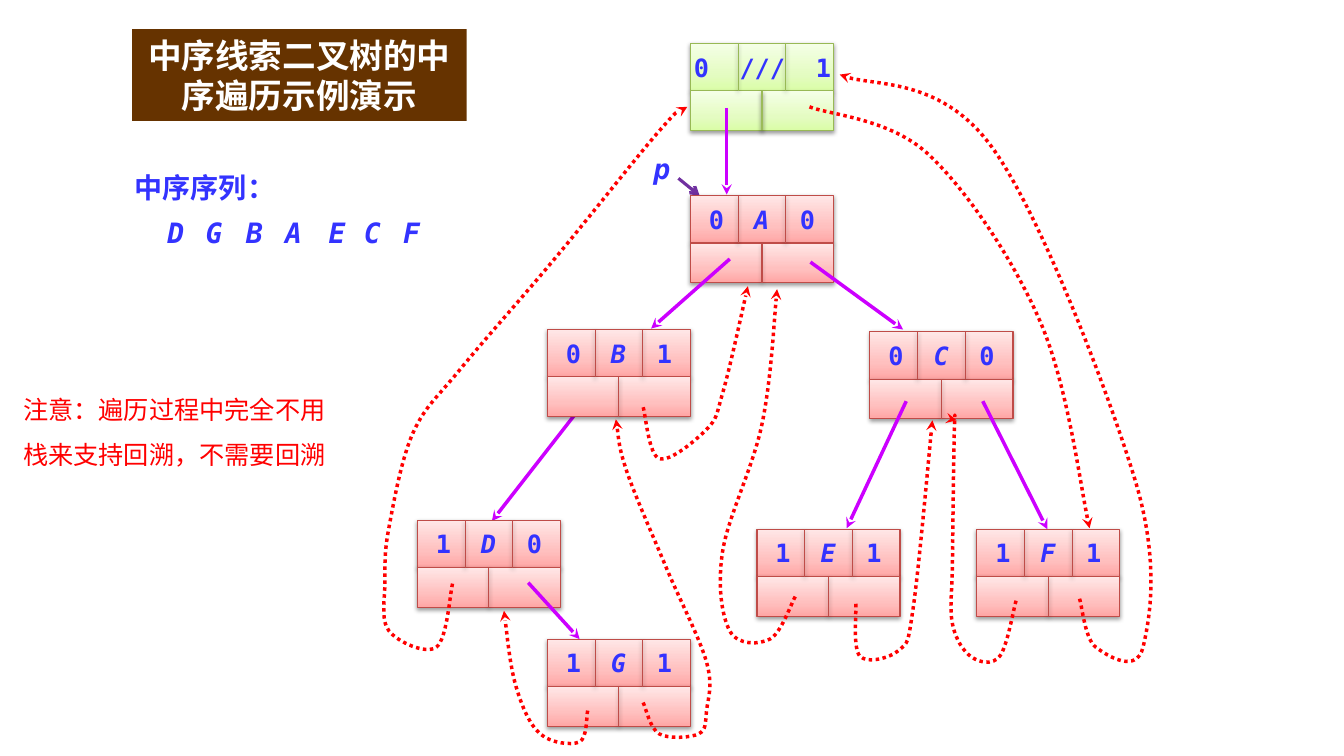
import copy

import pptx
import pptx.dml.color
import pptx.enum.dml
import pptx.enum.shapes
import pptx.enum.text
import pptx.oxml.ns
import pptx.util
from lxml import etree

Pt = pptx.util.Pt
qn = pptx.oxml.ns.qn
SHAPE = pptx.enum.shapes.MSO_SHAPE
ALIGN = pptx.enum.text.PP_ALIGN
ANCHOR = pptx.enum.text.MSO_ANCHOR

COLORS = {"ink": "3333FF", "link": "CC00FF", "thread": "FF0000", "pointer": "7030A0",
          "title": "663300", "white": "FFFFFF"}
PINK = {"stops": ("FFA6A5", "FFC0BF", "FFE7E7"), "line": "BF4C48", "lower": ("BF4C48", 0.75)}
GREEN = {"stops": ("DAFDA7", "E4FCC2", "F5FFE7"), "line": "98B955", "lower": ("9BBB59", 2)}
CJK = "Noto Sans CJK SC"
MONO = "DejaVu Sans Mono"
CODE = {"name": MONO, "size": Pt(18), "bold": True}
LETTER = {"name": MONO, "size": Pt(20), "bold": True, "italic": True}
HEADING = {"name": MONO, "size": Pt(20), "bold": True}
TITLE = {"name": CJK, "size": Pt(24), "bold": True}
NOTE = {"name": "Calibri", "size": Pt(18), "bold": False}

NODE_WIDTH, HEAD_HEIGHT, FOOT_HEIGHT = 102.2, 33.9, 28.3
# Left, top, fields
NODES = [(493.2, 139.7, "0A0"), (391, 235.4, "0B1"), (621.4, 236.9, "0C0"), (298.1, 371.5, "1D0"),
         (540.7, 378, "1E1"), (697.7, 378, "1F1"), (391, 456.5, "1G1")]
ROOT = (493.2, 31, ("0", "///", "1"))
LINK_UNDER_B = (419.8, 284.4, 351.4, 372.2)
LINKS = [(519.1, 77, 519.1, 139), (521.3, 185, 465.1, 234.7), (578.9, 187.2, 645.1, 235.4),
         (647.3, 286.6, 604.8, 377.3), (702, 286.6, 748.1, 378), (377.3, 416.2, 414, 456.5)]
# Points that each thread passes through
THREADS = [
    [(419.8, 507.6), (414, 529.9), (385.9, 524.2), (368.6, 490.3), (360, 436.3)],
    [(611.3, 431.3), (614.2, 468.7), (642.2, 464.4), (652.3, 434.2), (666, 300.2)],
    [(725.8, 429.1), (714.2, 468.7), (694.1, 469.4), (680.4, 445.7), (680.4, 400.3),
     (681.8, 305.3), (683.3, 300.2)],
    [(578.2, 76.3), (663.1, 110.2), (743, 229.7), (778.3, 377.3)],
    [(771.1, 427.7), (782.6, 462.2), (816.5, 462.2), (810.7, 342.7), (708.5, 105.1), (599.8, 53.3)],
    [(459.4, 290.9), (470.9, 327.6), (504.7, 306.7), (516.2, 280.8), (534.2, 204.5)],
    [(459.4, 501.8), (470.9, 524.2), (499, 524.2), (504.7, 507.6), (504.7, 473), (475.9, 405.4),
     (447.8, 337), (439.9, 299.5)],
    [(323.3, 416.9), (311.8, 462.2), (277.9, 450.7), (275, 415.4), (277.9, 376.6), (295.2, 308.9),
     (329, 263.5), (396.7, 184.3), (470.9, 93.6), (491, 76.3)],
    [(568.1, 426.2), (550.1, 456.5), (521.3, 450.7), (516.2, 393.8), (544.3, 303.1), (555.1, 206.6)],
]
SEQUENCE = zip("DGBAECF", (111.6, 139, 167.8, 195.8, 226.8, 252, 280))


def rgb(value):
    return pptx.dml.color.RGBColor.from_string(value)


def add_span(para, text, style, color, **extra):
    span = para.add_run()
    span.text = text
    for key, value in {**style, **extra}.items():
        setattr(span.font, key, value)
    span.font.color.rgb = rgb(color)
    etree.SubElement(span.font._element, qn("a:ea"), typeface=CJK)


def set_frame(frame, inset_x=0, inset_y=0, anchor=ANCHOR.TOP):
    values = {"margin_left": Pt(inset_x), "margin_right": Pt(inset_x), "margin_top": Pt(inset_y),
              "margin_bottom": Pt(inset_y), "vertical_anchor": anchor, "word_wrap": True}
    for key, value in values.items():
        setattr(frame, key, value)


def add_label(page, box, text, style, color, inset=(0, 0), align=ALIGN.CENTER, spacing=None):
    label = page.shapes.add_textbox(*map(Pt, box))
    set_frame(label.text_frame, *inset)
    para = label.text_frame.paragraphs[0]
    para.alignment = align
    if spacing:
        para.line_spacing = Pt(spacing)
    add_span(para, text, style, color)


def add_shadow(effects):
    shadow = etree.SubElement(effects, qn("a:outerShdw"), blurRad=str(Pt(3.1)), dist=str(Pt(1.6)),
                              dir="5400000", rotWithShape="0")
    color = etree.SubElement(shadow, qn("a:srgbClr"), val="000000")
    etree.SubElement(color, qn("a:alpha"), val="38000")


def add_line(shapes, ends, color, width, head=None):
    line = shapes.add_connector(pptx.enum.shapes.MSO_CONNECTOR.STRAIGHT, *map(Pt, ends))
    line.line.color.rgb = rgb(color)
    line.line.width = Pt(width)
    effects = etree.SubElement(line.element.spPr, qn("a:effectLst"))
    if head:
        add_head(line, head)
    return effects


def add_head(shape, kind):
    etree.SubElement(next(shape.element.iter(qn("a:ln"))), qn("a:tailEnd"), type=kind)


# Tree node: three fields above two pointer cells
def add_cell(shapes, box, look):
    cell = shapes.add_shape(SHAPE.RECTANGLE, *map(Pt, box))
    cell.fill.gradient()
    cell.fill.gradient_angle = 90
    first = next(cell.element.iter(qn("a:gs")))
    first.addnext(copy.deepcopy(first))
    for stop, position, color in zip(cell.fill.gradient_stops, (0, 0.35, 1), look["stops"]):
        stop.position = position
        stop.color.rgb = rgb(color)
    cell.line.color.rgb = rgb(look["line"])
    cell.line.width = Pt(0.75)
    cell.shadow.inherit = False
    add_shadow(next(cell.element.iter(qn("a:effectLst"))))
    return cell


def add_node(page, left, top, fields, look, inset, centres):
    shapes = page.shapes.add_group_shape().shapes
    middle = top + HEAD_HEIGHT
    head = add_cell(shapes, (left, top, NODE_WIDTH, HEAD_HEIGHT), look)
    add_cell(shapes, (left, middle, NODE_WIDTH, FOOT_HEIGHT), look)
    for part in (1 / 3, 2 / 3):
        x = left + NODE_WIDTH * part
        add_shadow(add_line(shapes, (x, top, x, middle), look["line"], 0.75))
    x = left + NODE_WIDTH / 2
    add_shadow(add_line(shapes, (x, middle, x, middle + FOOT_HEIGHT), *look["lower"]))

    set_frame(head.text_frame, anchor=ANCHOR.MIDDLE)
    head.text_frame.margin_left = Pt(inset)
    para = head.text_frame.paragraphs[0]
    para.alignment = ALIGN.LEFT
    tabs = etree.SubElement(para._p.get_or_add_pPr(), qn("a:tabLst"))
    for centre in centres:
        etree.SubElement(tabs, qn("a:tab"), pos=str(Pt(centre - inset)), algn="ctr")
    first, name, last = fields
    add_span(para, first + "\t", CODE, COLORS["ink"])
    add_span(para, name, CODE, COLORS["ink"], italic=name.isalpha())
    add_span(para, "\t" + last, CODE, COLORS["ink"])


# Dotted thread: a smooth curve through its points
def add_thread(page, points):
    padded = [points[0], *points, points[-1]]
    curve = []
    for before, start, end, after in zip(padded, padded[1:], padded[2:], padded[3:]):
        curve.append([s + (e - b) / 6 for b, s, e in zip(before, start, end)])
        curve.append([e - (a - s) / 6 for s, e, a in zip(start, end, after)])
        curve.append(end)
    builder = page.shapes.build_freeform(*map(Pt, points[0]), scale=1.0)
    builder.add_line_segments([(Pt(x), Pt(y)) for x, y in curve], close=False)
    thread = builder.convert_to_shape()
    steps = list(thread.element.iter(qn("a:lnTo")))
    for index in range(0, len(steps), 3):
        bend = etree.Element(qn("a:cubicBezTo"))
        steps[index].addprevious(bend)
        for step in steps[index:index + 3]:
            bend.append(step[0])
            step.getparent().remove(step)
    thread.fill.background()
    thread.line.color.rgb = rgb(COLORS["thread"])
    thread.line.width = Pt(2.5)
    thread.line.dash_style = pptx.enum.dml.MSO_LINE.ROUND_DOT
    thread.shadow.inherit = False
    add_head(thread, "stealth")


def add_tree(page, left, top):
    def add_link(ends):
        x1, y1, x2, y2 = ends
        add_line(page.shapes, (left + x1, top + y1, left + x2, top + y2), COLORS["link"], 2.5, "stealth")

    # The pointer p and one link lie behind the nodes
    add_line(page.shapes, (left + 484.6, top + 127.4, left + 499.7, top + 139.7),
             COLORS["pointer"], 2.25, "arrow")
    add_label(page, (left + 461.5, top + 108, 22.3, 24.5), "p", LETTER, COLORS["ink"])
    add_link(LINK_UNDER_B)
    for x, y, fields in NODES:
        add_node(page, left + x, top + y, fields, PINK, 13.2, (50.8, 83.6))
    x, y, fields = ROOT
    add_node(page, left + x, top + y, fields, GREEN, 2.5, (51.3, 95))
    for ends in LINKS:
        add_link(ends)
    for points in THREADS:
        add_thread(page, [(left + x, top + y) for x, y in points])


def add_title(page, left, top, width, height):
    title = page.shapes.title
    for key, value in zip(("left", "top", "width", "height"), (left, top, width, height)):
        setattr(title, key, Pt(value))
    title.fill.solid()
    title.fill.fore_color.rgb = rgb(COLORS["title"])
    set_frame(title.text_frame, 7.2, 3.6, ANCHOR.MIDDLE)
    title.text_frame.auto_size = pptx.enum.text.MSO_AUTO_SIZE.NONE
    para = title.text_frame.paragraphs[0]
    para.alignment = ALIGN.CENTER
    para.line_spacing = Pt(28.8)
    add_span(para, "中序线索二叉树的中序遍历示例演示", TITLE, COLORS["white"])


def add_sequence(page, left, top):
    add_label(page, (left, top, 122, 31.7), "中序序列：", HEADING, COLORS["ink"],
              (7.2, 3.6), ALIGN.LEFT, 26)
    for letter, x in SEQUENCE:
        add_label(page, (x, top + 37.5, 28, 24.5), letter, LETTER, COLORS["ink"])


def main():
    deck = pptx.Presentation()
    deck.slide_width, deck.slide_height = Pt(960), Pt(540)
    page = deck.slides.add_slide(deck.slide_layouts[5])
    add_tree(page, 0, 0)
    add_title(page, 94.3, 20.9, 239, 65.5)
    add_sequence(page, 89.3, 116.6)
    add_label(page, (9.4, 267.5, 232.6, 69), "注意：遍历过程中完全不用栈来支持回溯，不需要回溯",
              NOTE, COLORS["thread"], (7.2, 3.6), ALIGN.LEFT, 32.1)
    deck.save("out.pptx")


if __name__ == "__main__":
    main()
